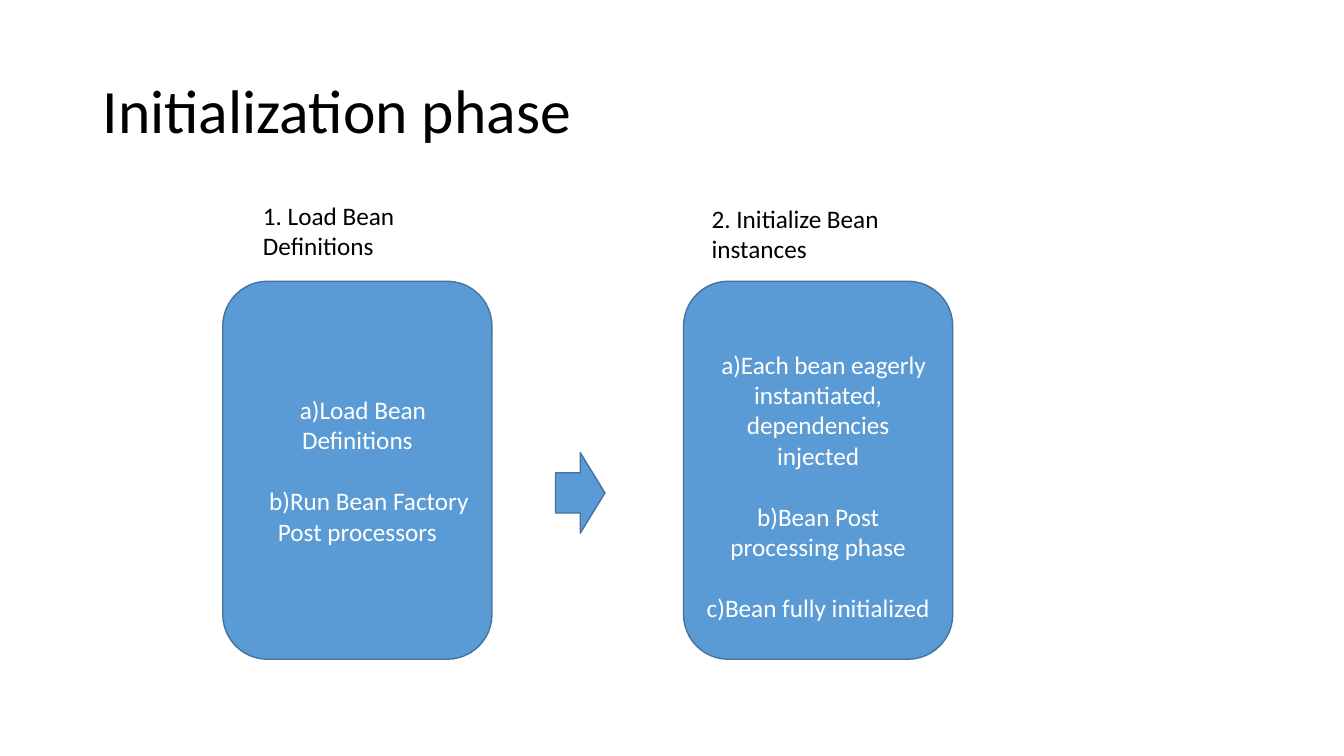
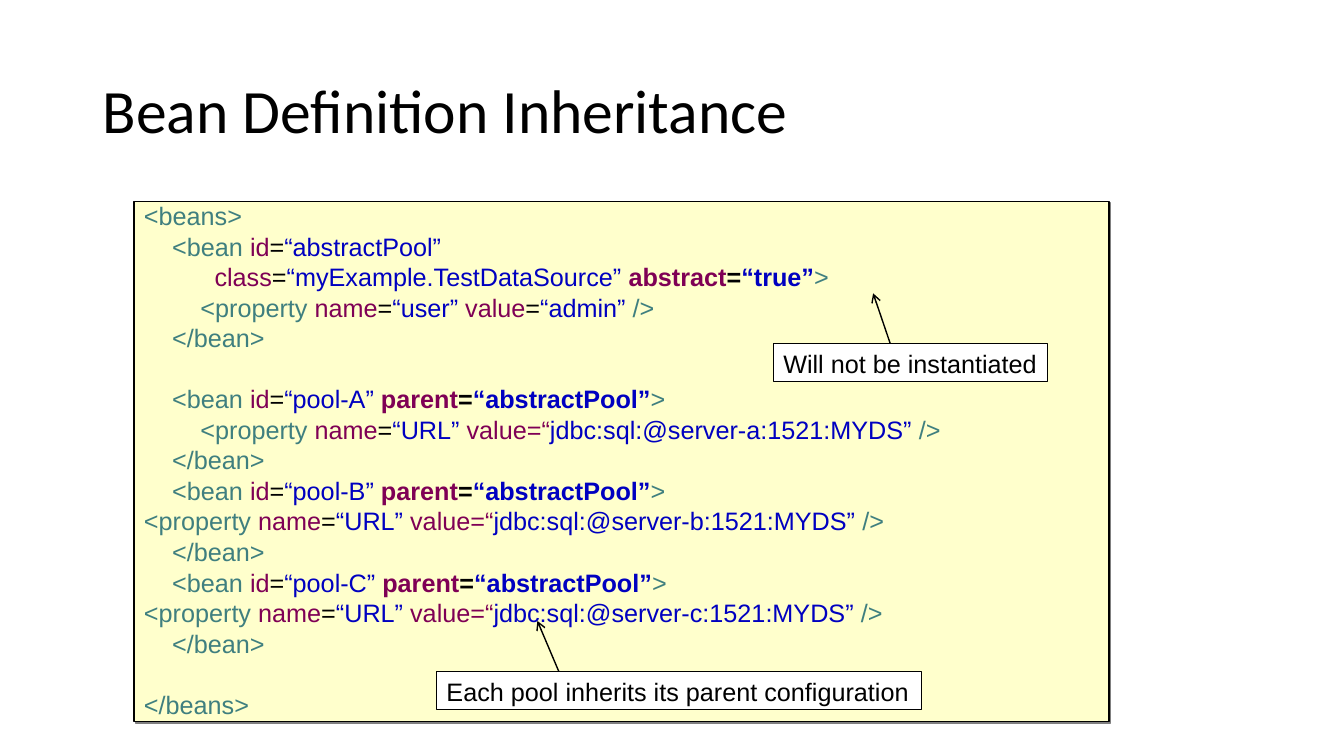
from lxml import etree
from pptx import Presentation
from pptx.dml.color import RGBColor
from pptx.enum.shapes import MSO_CONNECTOR, MSO_SHAPE
from pptx.enum.text import MSO_ANCHOR, PP_ALIGN
from pptx.oxml import parse_xml
from pptx.oxml.ns import nsdecls, qn
from pptx.util import Inches, Pt

BLACK = RGBColor(0x00, 0x00, 0x00)
WHITE = RGBColor(0xFF, 0xFF, 0xFF)
BLUE = RGBColor(0x5B, 0x9B, 0xD5)
BLUE_EDGE = RGBColor(0x43, 0x73, 0x9E)
CREAM = RGBColor(0xFF, 0xFF, 0xCC)
TAG = RGBColor(0x3F, 0x7F, 0x7F)
ATTRIBUTE = RGBColor(0x7F, 0x00, 0x55)
VALUE = RGBColor(0x00, 0x00, 0xC0)


def write(frame, lines, color, font="Calibri", size=18, align=PP_ALIGN.LEFT):
    frame.text = "\n".join(lines)
    for paragraph in frame.paragraphs:
        paragraph.alignment = align
        for run in paragraph.runs:
            run.font.name, run.font.size = font, Pt(size)
            run.font.color.rgb = color


def add_box(slide, kind, area, fill, edge, width):
    box = slide.shapes.add_shape(kind, *map(Inches, area))
    box.shadow.inherit = False
    box.fill.solid()
    box.fill.fore_color.rgb = fill
    box.line.color.rgb = edge
    box.line.width = Pt(width)
    box.text_frame.word_wrap = True
    return box


prs = Presentation()
prs.slide_width, prs.slide_height = Inches(13.33), Inches(7.5)

# Slides with their shared title style
slides = []
for heading in ("Initialization phase", "Bean Definition Inheritance"):
    slide = prs.slides.add_slide(prs.slide_layouts[6])
    title = slide.shapes.add_textbox(Inches(0.92), Inches(0.4), Inches(11.5), Inches(1.45)).text_frame
    title.word_wrap = True
    title.vertical_anchor = MSO_ANCHOR.MIDDLE
    write(title, [heading], BLACK, size=44)
    title.paragraphs[0].line_spacing = 0.9
    slides.append(slide)
phases, inheritance = slides

# Phase labels
for left, top, label in (
    (2.51, 1.94, ["1. Load Bean", "Definitions"]),
    (6.96, 1.97, ["2. Initialize Bean instances"]),
):
    caption = phases.shapes.add_textbox(Inches(left), Inches(top), Inches(1.94), Inches(0.71)).text_frame
    caption.word_wrap = True
    write(caption, label, BLACK)

# Phase cards: each step has a first-line indent and a gap above
cards = (
    (2.21, 0.05, [("a)Load Bean Definitions", 0.11, 0), ("b)Run Bean Factory Post processors", 0.23, 22)]),
    (6.78, 0.36, [
        ("a)Each bean eagerly instantiated,", 0.11, 0),
        ("dependencies injected", 0, 0),
        ("b)Bean Post processing phase", 0, 22),
        ("c)Bean fully initialized", 0, 22),
    ]),
)
for left, inset, steps in cards:
    card = add_box(phases, MSO_SHAPE.ROUNDED_RECTANGLE, (left, 2.79, 2.67, 3.75), BLUE, BLUE_EDGE, 1).text_frame
    card.vertical_anchor = MSO_ANCHOR.MIDDLE
    card.margin_top = Inches(inset)
    write(card, [step[0] for step in steps], WHITE, align=PP_ALIGN.CENTER)
    for paragraph, (_, indent, gap) in zip(card.paragraphs, steps):
        paragraph.space_before = Pt(gap)
        paragraph._p.get_or_add_pPr().set("indent", str(Inches(indent)))

add_box(phases, MSO_SHAPE.RIGHT_ARROW, (5.51, 4.49, 0.49, 0.8), BLUE, BLUE_EDGE, 1)

# Code listing: indent level, then (text, colour, bold) tokens; no tokens means a gap
equals = ("=", BLACK, False)
tag_end = (">", TAG, False)
empty_end = ("/>", TAG, False)
bean_start = [("<bean ", TAG, False), ("id", ATTRIBUTE, False), equals]
property_start = [("<property ", TAG, False), ("name", ATTRIBUTE, False), equals]
bean_close = (1, [("</bean>", TAG, False)])
gap_line = (0, [])
listing = [
    (0, [("<beans>", TAG, False)]),
    (1, bean_start + [("“abstractPool”", VALUE, False)]),
    (2.5, [("class", ATTRIBUTE, False), equals, ("“myExample.TestDataSource” ", VALUE, False),
           ("abstract", ATTRIBUTE, True), ("=", BLACK, True), ("“true”", VALUE, True), tag_end]),
    (2, property_start + [("“user” ", VALUE, False), ("value", ATTRIBUTE, False), equals,
                          ("“admin” ", VALUE, False), empty_end]),
    bean_close,
    gap_line,
]
for pool, property_level in (("A", 2), ("B", 0), ("C", 0)):
    listing += [
        (1, bean_start + [(f"“pool-{pool}” ", VALUE, False), ("parent", ATTRIBUTE, True),
                          ("=", BLACK, True), ("“abstractPool”", VALUE, True), tag_end]),
        (property_level, property_start + [
            ("“URL” ", VALUE, False), ("value=“", ATTRIBUTE, False),
            (f"jdbc:sql:@server-{pool.lower()}:1521:MYDS” ", VALUE, False), empty_end]),
        bean_close,
    ]
listing += [gap_line, (0, [("</beans>", TAG, False)])]

panel = add_box(inheritance, MSO_SHAPE.RECTANGLE, (1.33, 2, 9.67, 5.16), CREAM, BLACK, 1)
panel._element.spPr.find(qn("a:effectLst")).append(parse_xml(
    f'<a:outerShdw {nsdecls("a")} dist="{Pt(1.4)}" dir="2700000" algn="ctr" rotWithShape="0">'
    '<a:srgbClr val="808080"/></a:outerShdw>'))
code = panel.text_frame
code.vertical_anchor = MSO_ANCHOR.TOP
line_gap, blank_line = 4.5, 21.75
gap = 0
paragraph = code.paragraphs[0]
for level, tokens in listing:
    if not tokens:
        gap = line_gap + blank_line
        continue
    if paragraph.runs:
        paragraph = code.add_paragraph()
    paragraph.alignment = PP_ALIGN.LEFT
    paragraph.line_spacing = 0.8
    paragraph.space_before = Pt(gap)
    paragraph._p.get_or_add_pPr().set("marL", str(Inches(0.28 * level)))
    for text, color, bold in tokens:
        run = paragraph.add_run()
        run.text = text
        run.font.name, run.font.size, run.font.bold = "Arial", Pt(18), bold
        run.font.color.rgb = color
    gap = line_gap

# Callouts with their arrows
for note, area, start, tip in (
    ("Will not be instantiated", (7.67, 3.41, 2.72, 0.38), (8.83, 3.41), (8.66, 2.91)),
    ("Each pool inherits its parent configuration", (4.33, 6.66, 4.81, 0.38), (5.58, 6.75), (5.33, 6.16)),
):
    pointer = inheritance.shapes.add_connector(MSO_CONNECTOR.STRAIGHT, *map(Inches, start + tip))
    pointer.line.color.rgb = BLACK
    pointer.line.width = Pt(1)
    etree.SubElement(pointer.line._get_or_add_ln(), qn("a:tailEnd"), type="arrow")
    etree.SubElement(pointer._element.spPr, qn("a:effectLst"))
    callout = add_box(inheritance, MSO_SHAPE.RECTANGLE, area, WHITE, BLACK, 0.75).text_frame
    callout.word_wrap = False
    callout.vertical_anchor = MSO_ANCHOR.TOP
    write(callout, [note], BLACK, font="Arial")

prs.save("out.pptx")
